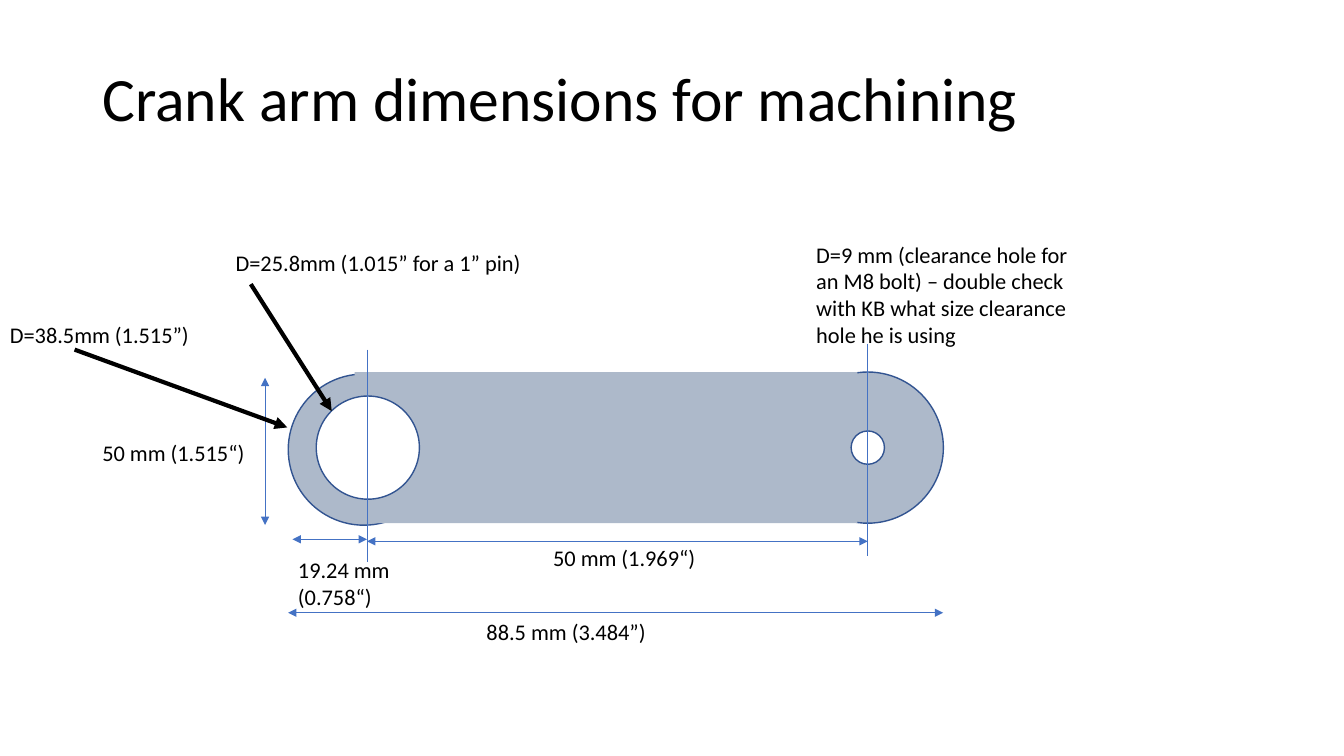
from dataclasses import dataclass
from lxml.etree import SubElement
from pptx import Presentation
from pptx.dml.color import RGBColor
from pptx.enum.shapes import MSO_CONNECTOR, MSO_SHAPE
from pptx.enum.text import MSO_ANCHOR, MSO_AUTO_SIZE
from pptx.oxml.ns import qn
from pptx.util import Cm, Pt


@dataclass(frozen=True)
class Theme:
    font: str = "Calibri"
    ink: str = "000000"
    steel: str = "ADB9CA"
    hole: str = "FFFFFF"
    edge: str = "325491"
    rule: str = "4472C4"
    head: float = 44
    note: float = 16
    thin: float = 0.5
    rim: float = 1
    bold: float = 3


def write(frame, text, *, font, size, color, space=None):
    para = frame.paragraphs[0]
    para.line_spacing = space
    run = para.add_run()
    run.text = text
    run.font.name = font
    run.font.size = Pt(size)
    run.font.color.rgb = RGBColor.from_string(color)


class Sheet:
    def __init__(self, slide, theme):
        self.slide = slide
        self.theme = theme

    def shape(self, kind, left, top, width, height, fill, rim=True):
        item = self.slide.shapes.add_shape(
            kind, Cm(left), Cm(top), Cm(width), Cm(height))
        item.shadow.inherit = False
        item.fill.solid()
        item.fill.fore_color.rgb = RGBColor.from_string(fill)
        if rim:
            item.line.color.rgb = RGBColor.from_string(self.theme.edge)
            item.line.width = Pt(self.theme.rim)
        else:
            item.line.fill.background()

    def disc(self, x, y, size, fill):
        self.shape(MSO_SHAPE.OVAL, x - size / 2, y - size / 2, size, size, fill)

    def bar(self, left, top, width, height):
        self.shape(MSO_SHAPE.RECTANGLE, left, top, width, height,
                   self.theme.steel, rim=False)

    def line(self, start, end, color, width, tips=()):
        item = self.slide.shapes.add_connector(
            MSO_CONNECTOR.STRAIGHT, *map(Cm, start + end))
        item.line.color.rgb = RGBColor.from_string(color)
        item.line.width = Pt(width)
        stroke = item.line._get_or_add_ln()
        for tip in tips:
            SubElement(stroke, qn(f"a:{tip}"), type="triangle")
        SubElement(item._element.spPr, qn("a:effectLst"))

    def axis(self, x, top, end):
        self.line((x, top), (x, end), self.theme.rule, self.theme.thin)

    def span(self, start, end):
        self.line(start, end, self.theme.rule, self.theme.thin,
                  ("headEnd", "tailEnd"))

    def arrow(self, start, end):
        self.line(start, end, self.theme.ink, self.theme.bold, ("tailEnd",))

    def box(self, left, top, width, height):
        frame = self.slide.shapes.add_textbox(
            Cm(left), Cm(top), Cm(width), Cm(height)).text_frame
        frame.word_wrap = True
        return frame

    def title(self, text, left, top, width, height):
        frame = self.box(left, top, width, height)
        frame.vertical_anchor = MSO_ANCHOR.MIDDLE
        write(frame, text, font=self.theme.font, size=self.theme.head,
              color=self.theme.ink, space=0.9)

    def note(self, text, left, top, width, height=0.94):
        frame = self.box(left, top, width, height)
        frame.auto_size = MSO_AUTO_SIZE.SHAPE_TO_FIT_TEXT
        write(frame, text, font=self.theme.font, size=self.theme.note,
              color=self.theme.ink)


def main():
    deck = Presentation()
    deck.slide_width, deck.slide_height = Cm(33.87), Cm(19.05)
    theme = Theme()
    sheet = Sheet(deck.slides.add_slide(deck.slide_layouts[6]), theme)

    pin, bolt, mid, wide = 9.25, 21.87, 11.28, 3.81
    left, right = 7.26, 23.77

    sheet.disc(9.17, 11.33, wide, theme.steel)
    sheet.disc(bolt, mid, wide, theme.steel)
    sheet.title("Crank arm dimensions for machining", 2.33, 0.71, 29.21, 3.68)
    sheet.bar(8.94, mid - wide / 2, 12.67, wide)
    sheet.disc(9.27, mid, 2.6, theme.hole)
    sheet.disc(bolt, mid, 0.84, theme.hole)

    sheet.axis(pin, 8.81, 14.15)
    sheet.axis(bolt, 8.66, 14)
    sheet.span((pin, 13.64), (bolt, 13.64))
    sheet.span((6.68, 9.52), (6.68, 13.23))
    sheet.span((left, 15.44), (right, 15.44))
    sheet.span((7.37, 13.59), (pin, 13.59))

    sheet.note("88.5 mm (3.484”)", 12.01, 15.44, 5.59)
    sheet.note("50 mm (1.969“)", 13.69, 13.59, 5.59)
    sheet.note("D=25.8mm (1.015” for a 1” pin)", 5.69, 6.15, 8.79)
    sheet.note("D=9 mm (clearance hole for an M8 bolt) – double check "
               "with KB what size clearance hole he is using",
               20.32, 5.94, 6.86, 3)
    sheet.note("19.24 mm (0.758“)", left, 13.89, 4.24, 1.63)
    sheet.note("50 mm (1.515“)", 2.33, 10.95, 5.59)
    sheet.note("D=38.5mm (1.515”)", 0, 7.98, 5.92)

    sheet.arrow((6.32, 7.16), (8.36, 10.36))
    sheet.arrow((1.88, 8.81), (7.24, 10.77))

    deck.save("out.pptx")


if __name__ == "__main__":
    main()
